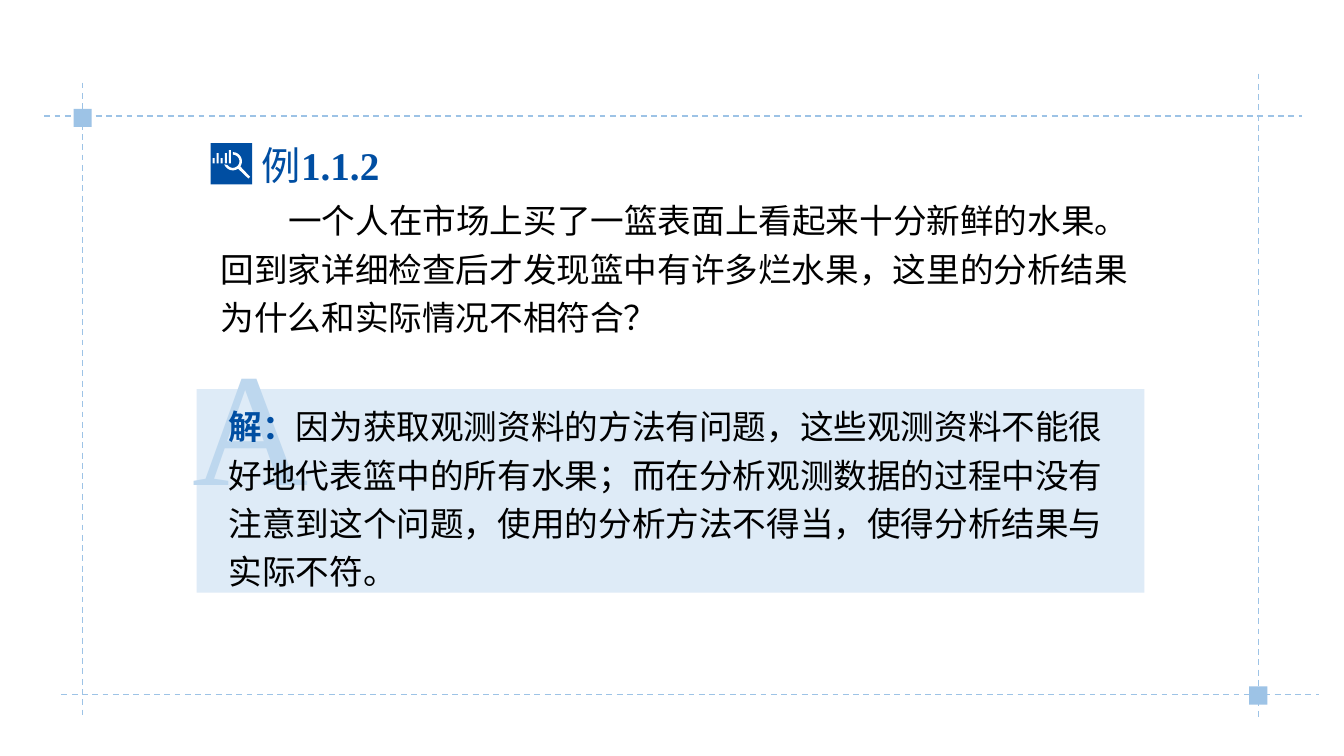
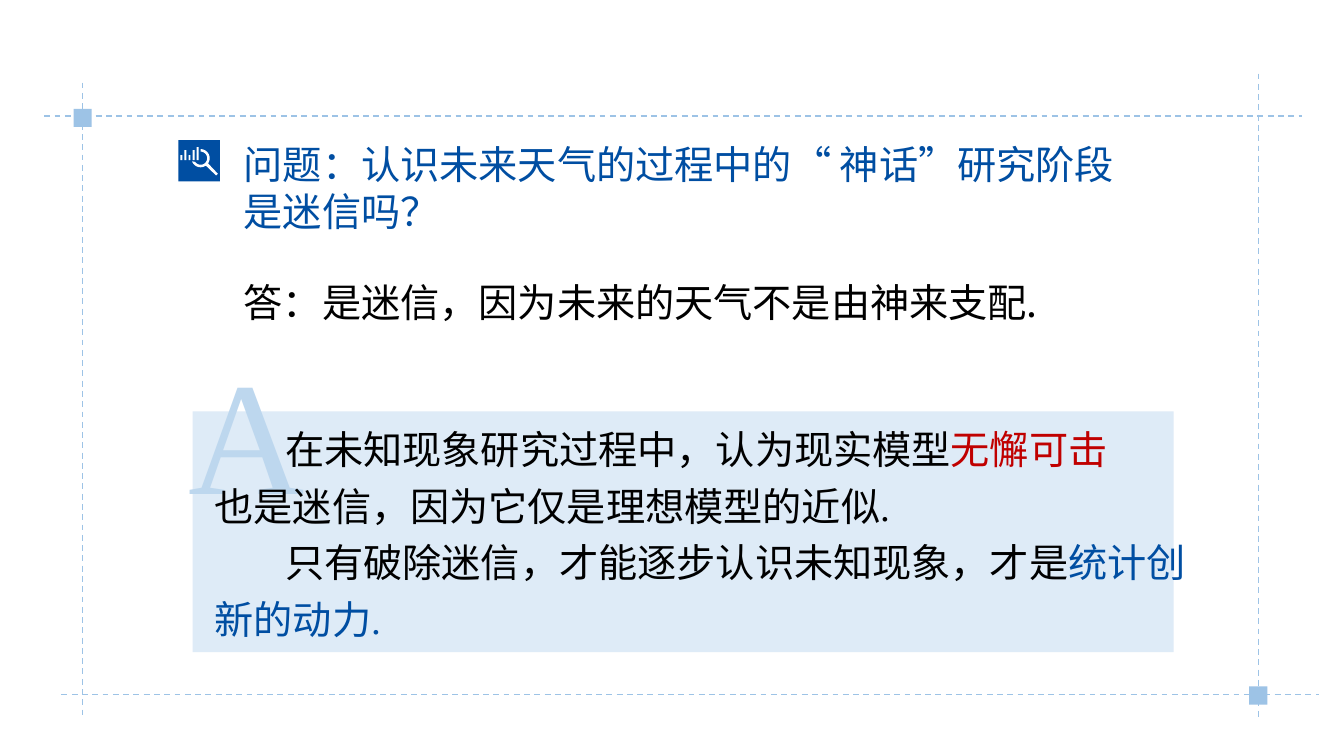
import math

import pptx
import pptx.dml.color
import pptx.enum.dml
import pptx.enum.shapes
import pptx.enum.text
import pptx.oxml.ns
import pptx.util
from lxml import etree
from pptx.util import Inches

RGBColor = pptx.dml.color.RGBColor
BLUE = RGBColor(0x00, 0x4E, 0xA2)
FRAME_BLUE = RGBColor(0x9D, 0xC3, 0xE6)
LETTER_BLUE = RGBColor(0xBD, 0xD7, 0xEE)
CARD_BLUE = RGBColor(0xDE, 0xEB, 0xF7)
RED = RGBColor(0xC0, 0x00, 0x00)
BLACK = RGBColor(0x00, 0x00, 0x00)
WHITE = RGBColor(0xFF, 0xFF, 0xFF)
SERIF = "Times New Roman"
SANS = "Noto Sans CJK SC"
TOP = pptx.enum.text.MSO_ANCHOR.TOP
MIDDLE = pptx.enum.text.MSO_ANCHOR.MIDDLE


def add_box(page, at, color):
    box = page.shapes.add_shape(
        pptx.enum.shapes.MSO_SHAPE.RECTANGLE, *[Inches(length) for length in at])
    box.shadow.inherit = False
    box.fill.solid()
    box.fill.fore_color.rgb = color
    box.line.fill.background()


def add_text(page, at, size, font, paragraphs, anchor=TOP, spacing=1.0):
    """Each paragraph is (first-line indent, [(words, colour, bold), ...])."""
    box = page.shapes.add_textbox(*[Inches(length) for length in at])
    frame = box.text_frame
    frame.word_wrap = True
    frame.vertical_anchor = anchor
    for number, (indent, runs) in enumerate(paragraphs):
        para = frame.add_paragraph() if number else frame.paragraphs[0]
        para.line_spacing = spacing
        if indent:
            para._p.get_or_add_pPr().set("indent", str(Inches(indent)))
        for words, color, bold in runs:
            span = para.add_run()
            span.text = words
            span.font.size = pptx.util.Pt(size)
            span.font.name = font
            span.font.bold = bold
            span.font.color.rgb = color
            east_asian = etree.SubElement(
                span.font._element, pptx.oxml.ns.qn("a:ea"))
            east_asian.set("typeface", SANS)


# Frame shared by the slides
FRAME_LINES = [
    (0.82, 0.82, 0.82, 7.12), (12.48, 0.73, 12.48, 7.12),
    (0.44, 1.15, 12.91, 1.15), (0.61, 6.89, 13.08, 6.89),
]
FRAME_CORNERS = [(0.73, 1.08), (12.39, 6.81)]

# Icon outlines, measured from the icon's corner
ICON_BARS = [(0.03, 0.15), (0.07, 0.1), (0.11, 0.15), (0.15, 0.1), (0.19, 0.07)]
LENS_X, LENS_Y = 0.22, 0.18
lens_points = []
for radius, angles in ((0.09, range(-90, 36, 5)), (0.23, (42, 48)),
                       (0.09, range(55, 161, 5)), (0.065, range(145, -91, -5))):
    for angle in angles:
        turn = math.radians(angle)
        lens_points.append((LENS_X + radius * math.cos(turn),
                            LENS_Y + radius * math.sin(turn)))
icon_outlines = [lens_points]
for center, top in ICON_BARS:
    left, right = center - 0.01, center + 0.01
    icon_outlines.append([(left, top), (right, top), (right, 0.2), (left, 0.2)])

# Contents: places, then texts as add_text arguments
SLIDES = [
    {
        "icon": (2.09, 1.42),
        "card": (1.95, 3.86, 9.4, 2.02),
        "letter": (1.81, 3.17, 1.72, 2.04),
        "texts": [
            ((2.5, 1.35, 1.64, 0.57), 28, SERIF,
             [(0, [("例", BLUE, False), ("1.1.2", BLUE, True)])], MIDDLE),
            ((2.09, 1.87, 9.26, 1.51), 24, SANS,
             [(0.67, [("一个人在市场上买了一篮表面上看起来十分新鲜的水果。"
                       "回到家详细检查后才发现篮中有许多烂水果，这里的分析结果"
                       "为什么和实际情况不相符合？", BLACK, False)])],
             MIDDLE, 1.2),
            ((2.17, 3.9, 9.09, 2), 24, SANS,
             [(0, [("解：", BLUE, True),
                   ("因为获取观测资料的方法有问题，这些观测资料不能很"
                    "好地代表篮中的所有水果；而在分析观测数据的过程中没有"
                    "注意到这个问题，使用的分析方法不得当，使得分析结果与"
                    "实际不符。", BLACK, False)])], TOP, 1.2),
        ],
    },
    {
        "icon": (1.77, 1.39),
        "card": (1.91, 4.08, 9.73, 2.39),
        "letter": (1.77, 3.26, 1.78, 2.41),
        "texts": [
            ((2.32, 1.34, 9.21, 1.04), 28, SERIF,
             [(0, [("问题：认识未来天气的过程中的“ 神话”研究阶段是迷信吗？",
                    BLUE, False)])], MIDDLE),
            ((2.32, 2.64, 8.57, 0.62), 28, SANS,
             [(0, [("答：是迷信，因为未来的天气不是由神来支配.",
                    BLACK, False)])], MIDDLE, 1.2),
            ((2.03, 4.08, 9.92, 2.31), 28, SERIF,
             [(0.7, [("在未知现象研究过程中，认为现实模型", BLACK, False),
                     ("无懈可击", RED, False)]),
              (0, [("也是迷信，因为它仅是理想模型的近似.", BLACK, False)]),
              (0.7, [("只有破除迷信，才能逐步认识未知现象，才是", BLACK, False),
                     ("统计创新的动力.", BLUE, False)])], TOP, 1.2),
        ],
    },
]

deck = pptx.Presentation()
deck.slide_width = Inches(13.33)
deck.slide_height = Inches(7.5)

for content in SLIDES:
    page = deck.slides.add_slide(deck.slide_layouts[6])

    # Dashed frame with two corner squares
    for ends in FRAME_LINES:
        rule = page.shapes.add_connector(
            pptx.enum.shapes.MSO_CONNECTOR.STRAIGHT,
            *[Inches(length) for length in ends])
        rule.line.color.rgb = FRAME_BLUE
        rule.line.width = pptx.util.Pt(1.05)
        rule.line.dash_style = pptx.enum.dml.MSO_LINE.DASH
        etree.SubElement(rule._element.spPr, pptx.oxml.ns.qn("a:effectLst"))
    for left, top in FRAME_CORNERS:
        add_box(page, (left, top, 0.18, 0.18), FRAME_BLUE)

    # Icon: bars and a magnifier on a blue square
    icon_left, icon_top = content["icon"]
    add_box(page, (icon_left, icon_top, 0.41, 0.41), BLUE)
    builder = None
    for outline in icon_outlines:
        points = [(Inches(icon_left + x), Inches(icon_top + y)) for x, y in outline]
        if builder is None:
            builder = page.shapes.build_freeform(*points[0])
        else:
            builder.move_to(*points[0])
        builder.add_line_segments(points[1:], close=True)
    glyph = builder.convert_to_shape()
    glyph.shadow.inherit = False
    glyph.fill.solid()
    glyph.fill.fore_color.rgb = WHITE
    glyph.line.fill.background()

    # Answer card with its large letter, then the texts
    add_box(page, content["card"], CARD_BLUE)
    add_text(page, content["letter"], 115, SERIF, [(0, [("A", LETTER_BLUE, False)])])
    for text in content["texts"]:
        add_text(page, *text)

deck.save("out.pptx")
